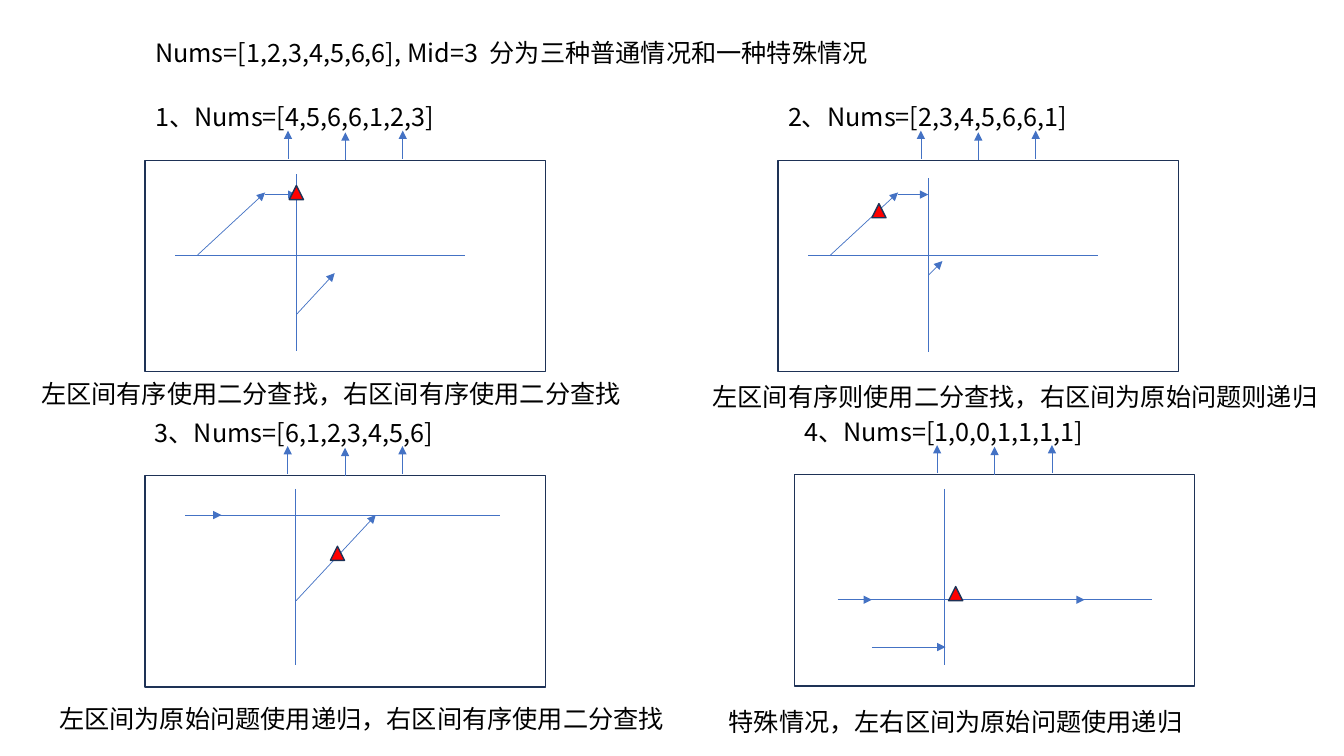
from dataclasses import dataclass

from lxml import etree
from pptx import Presentation
from pptx.dml.color import RGBColor
from pptx.enum import shapes, text
from pptx.oxml import ns
from pptx.util import Pt

FONT = "Noto Sans CJK SC"
BLACK = RGBColor(0x00, 0x00, 0x00)
WHITE = RGBColor(0xFF, 0xFF, 0xFF)
RED = RGBColor(0xFF, 0x00, 0x00)
BLUE = RGBColor(0x44, 0x72, 0xC4)
NAVY = RGBColor(0x1E, 0x32, 0x56)

FRAME_W, FRAME_H = 286, 151
TEXT_H = 28.8
MARKER = 10.1
POINTER_X, POINTER_GAP = 102, 41


@dataclass
class Case:
    """One search case; every place is relative to its frame's corner."""
    corner: tuple
    heading: str
    verdict: str
    verdict_at: tuple
    verdict_w: float
    axes: list
    trends: list
    target: tuple


RISE = (37.4, 67.7, 85.7, 23)
LEVEL_AXIS = (21.6, 67.7, 228.2, 67.7)

CASES = [
    Case((103.7, 114.5), "1、Nums=[4,5,6,6,1,2,3]",
         "左区间有序使用二分查找，右区间有序使用二分查找", (-81.4, 151.9), 435.6,
         [LEVEL_AXIS, (108, 10.1, 108, 136.1)],
         [RISE, (85.7, 24.5, 108, 24.5), (108, 110.2, 135.4, 80.6)],
         (103, 18)),
    Case((555.8, 114.5), "2、Nums=[2,3,4,5,6,6,1]",
         "左区间有序则使用二分查找，右区间为原始问题则递归", (-54, 154.1), 458,
         [LEVEL_AXIS, (107.3, 13, 107.3, 136.8)],
         [RISE, (85.7, 24.5, 107.3, 24.5), (107.3, 82.1, 117.4, 72)],
         (67, 31)),
    Case((103.5, 339.8), "3、Nums=[6,1,2,3,4,5,6]",
         "左区间为原始问题使用递归，右区间有序使用二分查找", (-68.4, 159.1), 504,
         [(28.8, 28.1, 253.4, 28.1), (107.5, 9.4, 107.5, 135.4)],
         [(37.4, 28.1, 54.7, 28.1), (108, 89.3, 164.9, 28.1)],
         (132.5, 50.4)),
    Case((567.4, 339.1), "4、Nums=[1,0,0,1,1,1,1]",
         "特殊情况，左右区间为原始问题使用递归", (-54, 162), 373,
         [(31, 89.3, 255.6, 89.3), (107.3, 10.1, 107.3, 136.1)],
         [(38.2, 89.3, 55.4, 89.3), (55.4, 123.1, 108, 123.1),
          (123.1, 89.3, 207.4, 89.3)],
         (110.2, 79.9)),
]


def add_label(slide, wording, left, top, width):
    """Place one line of 18 pt text."""
    label = slide.shapes.add_textbox(Pt(left), Pt(top), Pt(width), Pt(TEXT_H))
    frame = label.text_frame
    frame.word_wrap = True
    frame.auto_size = text.MSO_AUTO_SIZE.SHAPE_TO_FIT_TEXT
    run = frame.paragraphs[0].add_run()
    run.text = wording
    run.font.size = Pt(18)
    run.font.name = FONT
    run.font.color.rgb = BLACK
    east_asian = etree.SubElement(run.font._element, ns.qn("a:ea"))
    east_asian.set("typeface", FONT)


def add_outlined(slide, preset, fill, left, top, width, height):
    """Place a filled preset shape with the navy outline."""
    outlined = slide.shapes.add_shape(
        preset, Pt(left), Pt(top), Pt(width), Pt(height))
    outlined.shadow.inherit = False
    outlined.fill.solid()
    outlined.fill.fore_color.rgb = fill
    outlined.line.color.rgb = NAVY
    outlined.line.width = Pt(1)


def add_stroke(slide, corner, ends, arrow=False):
    """Draw a thin blue line whose ends are relative to corner."""
    left, top = corner
    x1, y1, x2, y2 = ends
    stroke = slide.shapes.add_connector(
        shapes.MSO_CONNECTOR.STRAIGHT,
        Pt(left + x1), Pt(top + y1), Pt(left + x2), Pt(top + y2))
    stroke.line.color.rgb = BLUE
    stroke.line.width = Pt(0.5)
    if arrow:
        head = etree.SubElement(stroke.line._get_or_add_ln(), ns.qn("a:tailEnd"))
        head.set("type", "triangle")
    etree.SubElement(stroke._element.spPr, ns.qn("a:effectLst"))


def add_case(slide, case):
    """Draw a case: heading, pointers, framed sketch and verdict."""
    left, top = case.corner
    add_outlined(slide, shapes.MSO_SHAPE.RECTANGLE, WHITE,
                 left, top, FRAME_W, FRAME_H)
    add_label(slide, case.heading, left, top - 45.5, FRAME_W)
    for index in range(3):
        x = POINTER_X + index * POINTER_GAP
        lift = 0 if index == 1 else 1.2
        add_stroke(slide, case.corner, (x, -lift, x, -20 - lift), arrow=True)
    for axis in case.axes:
        add_stroke(slide, case.corner, axis)
    for trend in case.trends:
        add_stroke(slide, case.corner, trend, arrow=True)
    target_x, target_y = case.target
    add_outlined(slide, shapes.MSO_SHAPE.ISOSCELES_TRIANGLE, RED,
                 left + target_x, top + target_y, MARKER, MARKER)
    verdict_x, verdict_y = case.verdict_at
    add_label(slide, case.verdict, left + verdict_x, top + verdict_y,
              case.verdict_w)


def main():
    """Build the slide and save it."""
    deck = Presentation()
    deck.slide_width, deck.slide_height = Pt(960), Pt(540)
    slide = deck.slides.add_slide(deck.slide_layouts[6])
    add_label(slide, "Nums=[1,2,3,4,5,6,6], Mid=3  分为三种普通情况和一种特殊情况",
              103.7, 23, 790.6)
    for case in CASES:
        add_case(slide, case)
    deck.save("out.pptx")


main()
